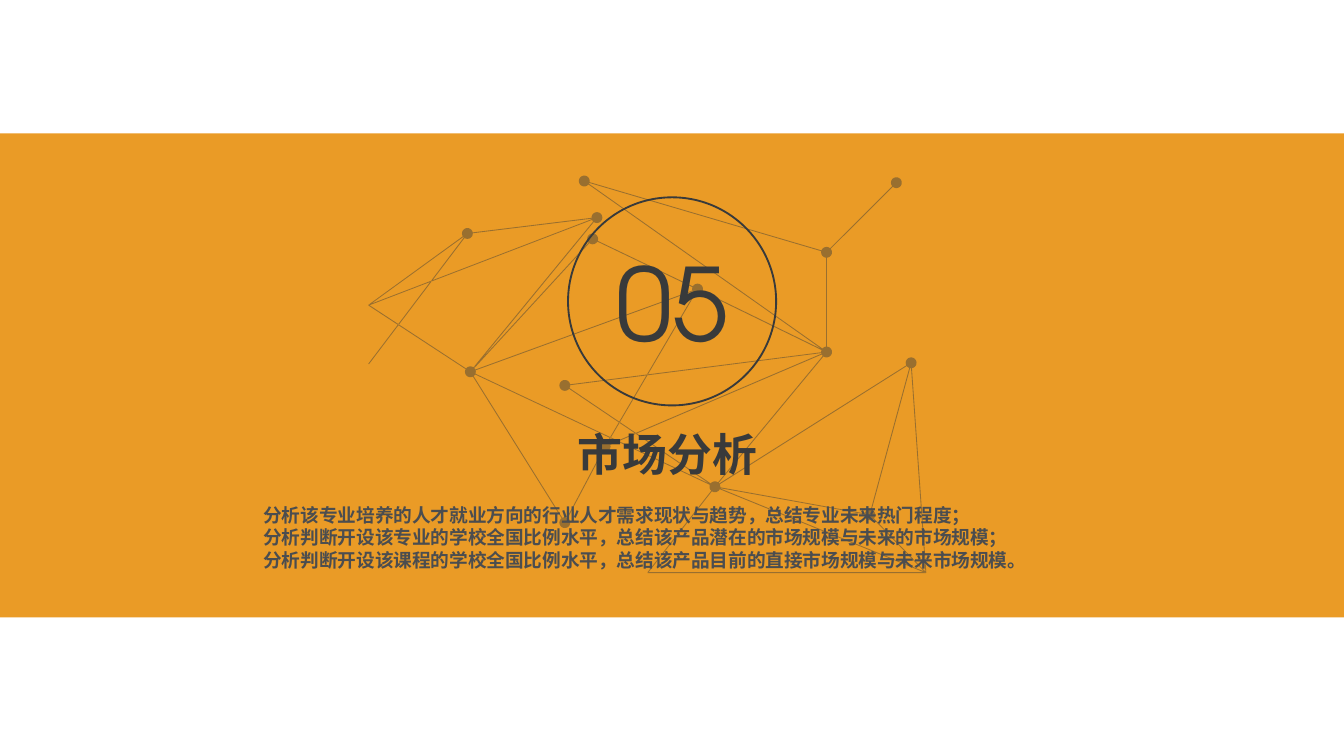
import math
from dataclasses import dataclass

import pptx
import pptx.util
import pptx.dml.color
import pptx.enum.shapes
import pptx.enum.text
import pptx.oxml.ns
from lxml import etree

Pt = pptx.util.Pt
Kind = pptx.enum.shapes.MSO_SHAPE
Align = pptx.enum.text.PP_ALIGN
Anchor = pptx.enum.text.MSO_ANCHOR
qn = pptx.oxml.ns.qn


@dataclass(frozen=True)
class Theme:
    band: str = "EA9B26"
    dark: str = "383A3B"
    gray: str = "4B4D4F"
    han: str = "Noto Sans CJK SC"
    latin: str = "TeX Gyre Adventor"
    huge: int = 54
    head: int = 24
    text: int = 10


THEME = Theme()

# Network: dotted nodes, plain corners and the edges between them
DOTS = {
    "A": (313, 97), "B": (480.2, 97.9), "C": (442.8, 135.2),
    "D": (442.8, 188.6), "E": (373.7, 154.9), "F": (317.5, 128),
    "G": (319.8, 116.6), "H": (250.4, 125.1), "I": (252, 199.2),
    "J": (302.6, 206.5), "K": (324.2, 239.2), "L": (302.6, 280),
    "M": (383, 260.8), "N": (488.1, 194.4), "O": (466, 275.8),
}
ENDS = {"P": (197.5, 163.5), "Q": (197.5, 195), "R": (347, 306.8),
        "S": (496, 306.8)}
EDGES = ("AC AD BC CD DE EF FI GI GH GP HP HQ PI IL IE IM LK KE KD JD JM "
         "MD MN MO MS MR NO NS OS RS").split()
RADIUS = 2.9
HAIR = 0.45

LINES = [
    "分析该专业培养的人才就业方向的行业人才需求现状与趋势，总结专业未来热门程度；",
    "分析判断开设该专业的学校全国比例水平，总结该产品潜在的市场规模与未来的市场规模；",
    "分析判断开设该课程的学校全国比例水平，总结该产品目前的直接市场规模与未来市场规模。",
]


def rgb(code):
    return pptx.dml.color.RGBColor.from_string(code)


def place(shape, left, top, width, height):
    shape.left, shape.top = Pt(left), Pt(top)
    shape.width, shape.height = Pt(width), Pt(height)


def style(para, size, color, face, bold=False):
    for run in para.runs:
        font = run.font
        font.size, font.bold, font.name = Pt(size), bold, face
        font.color.rgb = rgb(color)
        east = etree.Element(qn("a:ea"), typeface=face)
        font._element.find(qn("a:latin")).addnext(east)


def setup(frame, anchor, inset=0):
    frame.word_wrap = True
    frame.auto_size = pptx.enum.text.MSO_AUTO_SIZE.NONE
    frame.vertical_anchor = anchor
    frame.margin_left = frame.margin_right = Pt(inset)
    frame.margin_top = frame.margin_bottom = Pt(inset)


def add_band(slide):
    band = slide.shapes.add_shape(Kind.RECTANGLE, 0, Pt(71.5), Pt(720), Pt(259.3))
    band.shadow.inherit = False
    band.fill.solid()
    band.fill.fore_color.rgb = rgb(THEME.band)
    band.line.fill.background()


def disc(x, y, count=24):
    turns = [2 * math.pi * step / count for step in range(count)]
    return [(x + RADIUS * math.cos(t), y + RADIUS * math.sin(t)) for t in turns]


def strand(first, last):
    """Thin quad between two nodes, cut back to the rim of each dot."""
    nodes = {**DOTS, **ENDS}
    (x1, y1), (x2, y2) = nodes[first], nodes[last]
    span = math.hypot(x2 - x1, y2 - y1)
    ux, uy = (x2 - x1) / span, (y2 - y1) / span
    cut1, cut2 = (RADIUS if key in DOTS else 0 for key in (first, last))
    x1, y1 = x1 + ux * cut1, y1 + uy * cut1
    x2, y2 = x2 - ux * cut2, y2 - uy * cut2
    dx, dy = -uy * HAIR / 2, ux * HAIR / 2
    return [(x1 + dx, y1 + dy), (x2 + dx, y2 + dy),
            (x2 - dx, y2 - dy), (x1 - dx, y1 - dy)]


def add_net(slide):
    rings = [disc(*spot) for spot in DOTS.values()]
    rings += [strand(*edge) for edge in EDGES]
    rings = [[(Pt(x), Pt(y)) for x, y in ring] for ring in rings]
    pen = slide.shapes.build_freeform(*rings[0][0])
    for ring in rings:
        if ring is not rings[0]:
            pen.move_to(*ring[0])
        pen.add_line_segments(ring[1:], close=True)
    net = pen.convert_to_shape()
    net.shadow.inherit = False
    net.line.fill.background()
    net.fill.solid()
    net.fill.fore_color.rgb = rgb(THEME.dark)
    tint = net.element.spPr.find(qn("a:solidFill"))[0]
    etree.SubElement(tint, qn("a:alpha"), val="45000")


def add_badge(slide, label):
    badge = slide.shapes.add_shape(Kind.OVAL, Pt(304.3), Pt(105.7), Pt(111.5), Pt(111.5))
    badge.shadow.inherit = False
    badge.fill.background()
    badge.line.color.rgb = rgb(THEME.dark)
    badge.line.width = Pt(1)
    frame = badge.text_frame
    setup(frame, Anchor.MIDDLE)
    frame.text = label
    frame.paragraphs[0].alignment = Align.CENTER
    style(frame.paragraphs[0], THEME.huge, THEME.dark, THEME.latin)


def set_title(title, label):
    place(title, 212.4, 221.8, 290.2, 42.5)
    frame = title.text_frame
    setup(frame, Anchor.MIDDLE, 1.5)
    frame.text = label
    frame.paragraphs[0].alignment = Align.CENTER
    style(frame.paragraphs[0], THEME.head, THEME.dark, THEME.han, True)


def set_body(body, lines):
    place(body, 141.1, 270, 430, 36)
    frame = body.text_frame
    setup(frame, Anchor.TOP)
    frame.text = "\n".join(lines)
    for para in frame.paragraphs:
        props = para._p.get_or_add_pPr()
        props.set("marL", "0")
        props.set("indent", "0")
        etree.SubElement(props, qn("a:buNone"))
        para.alignment = Align.JUSTIFY
        para.space_before = Pt(0)
        para.line_spacing = Pt(12)
        style(para, THEME.text, THEME.gray, THEME.han, True)


def main():
    deck = pptx.Presentation()
    deck.slide_width, deck.slide_height = Pt(720), Pt(405)
    slide = deck.slides.add_slide(deck.slide_layouts[1])
    title, body = slide.placeholders

    # Backdrop and section number
    add_band(slide)
    add_net(slide)
    add_badge(slide, "05")

    # Heading and summary, brought in front of the band
    set_title(title, "市场分析")
    set_body(body, LINES)
    for item in (title, body):
        item.element.getparent().append(item.element)

    deck.save("out.pptx")


if __name__ == "__main__":
    main()
